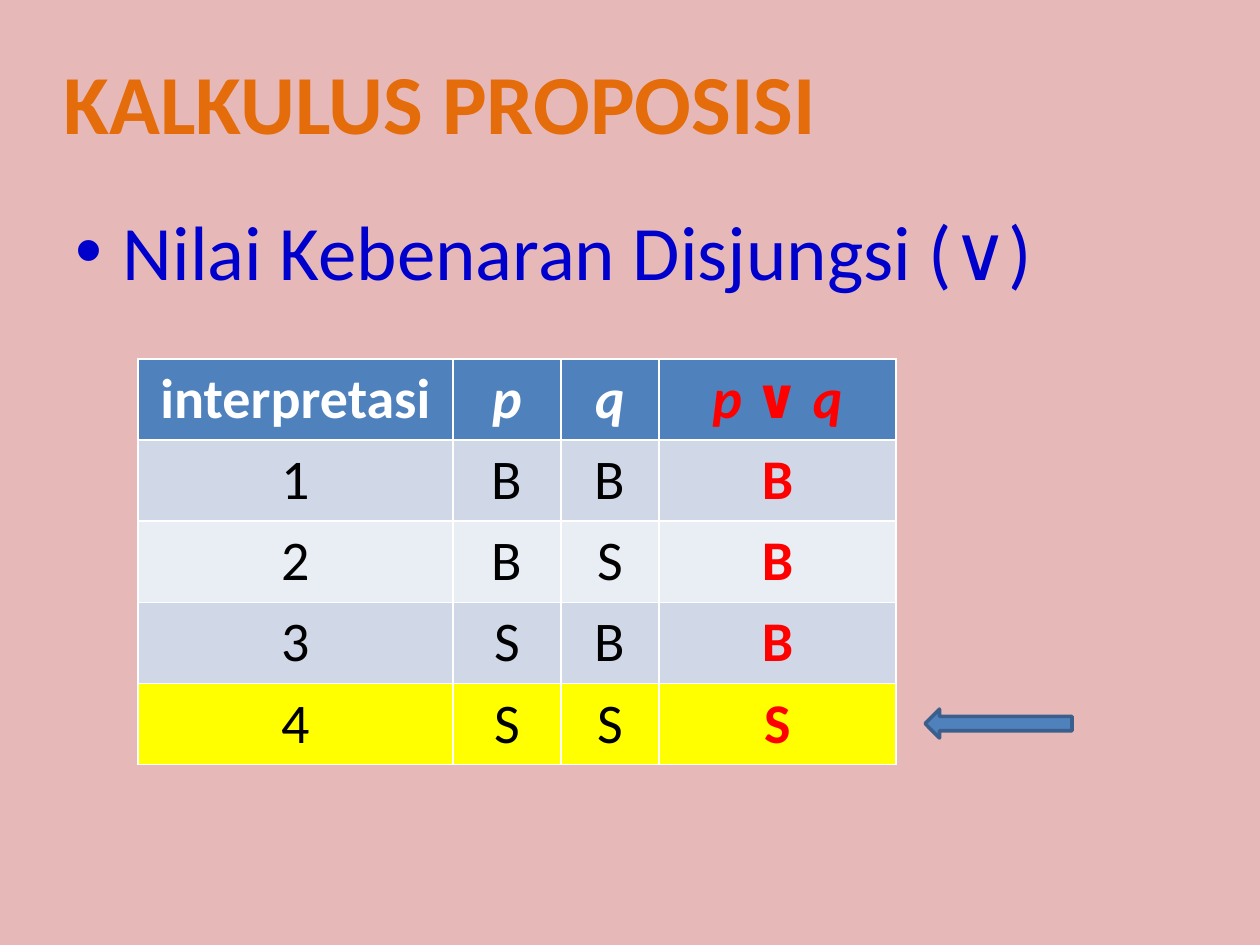
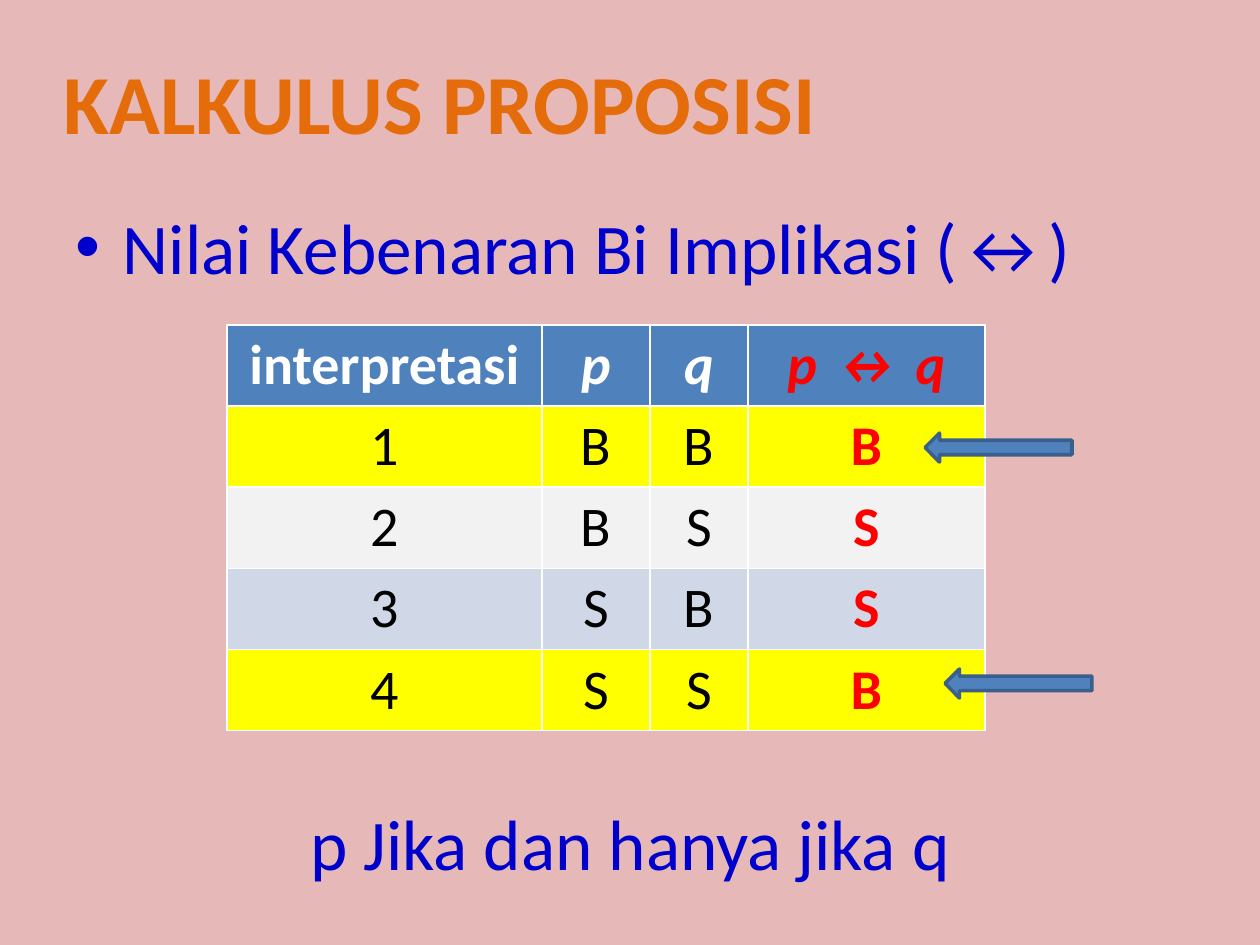
from dataclasses import dataclass

from lxml import etree
from pptx import Presentation
from pptx.dml.color import RGBColor
from pptx.enum import shapes, text
from pptx.oxml import ns
from pptx.util import Emu, Pt

# Content: marked rows are the highlighted interpretations
TITLE = "KALKULUS PROPOSISI"
INPUTS = [("1", "B", "B"), ("2", "B", "S"), ("3", "S", "B"), ("4", "S", "S")]
PAGES = [
    dict(heading="Nilai Kebenaran Disjungsi (∨)", heading_size=44, closing=None,
         formula="p ∨ q", results="BBBS", marked=[4], even_band="E9EDF4",
         table_at=(138, 359), arrows=[(925, 709)]),
    dict(heading="Nilai Kebenaran Bi Implikasi (↔)", heading_size=40.7,
         closing="p Jika dan hanya jika q",
         formula="p ↔ q", results="BSSB", marked=[1, 4], even_band="F2F2F2",
         table_at=(227, 325), arrows=[(925, 433), (945, 669)]),
]


@dataclass(frozen=True)
class Theme:
    font: str = "Calibri"
    background: str = "E6B9B8"
    title: str = "E46C0A"
    body: str = "0000CC"
    header: str = "4F81BD"
    header_text: str = "FFFFFF"
    odd_band: str = "D0D8E8"
    mark: str = "FFFF00"
    cell_text: str = "000000"
    result: str = "FF0000"
    arrow_line: str = "3A5F8C"
    title_size: int = 48
    table_size: int = 32
    closing_gap: int = 292


THEME = Theme()

# Layout in px, 126 to the inch
SLIDE = (1260, 945)
TITLE_BOX = (47, 43, 786, 115)
BODY_BOX = (63, 197, 1134, 699)
COLUMNS = [315, 108, 98, 237]
ROW_HEIGHT = 81
ARROW = (147, 29)


def px(*lengths):
    return [Emu(round(length * 914400 / 126)) for length in lengths]


def color(value):
    return RGBColor.from_string(value)


def paint(part, value):
    part.fill.solid()
    part.fill.fore_color.rgb = color(value)


def style(para, size, value, bold=False, italic=False):
    font = para.font
    font.name, font.size = THEME.font, Pt(size)
    font.bold, font.italic = bold, italic
    font.color.rgb = color(value)


def place(box, bounds):
    box.left, box.top, box.width, box.height = px(*bounds)
    box.text_frame.auto_size = text.MSO_AUTO_SIZE.NONE
    return box.text_frame


def add_title(page):
    frame = place(page.shapes.title, TITLE_BOX)
    frame.word_wrap = False
    frame.text = TITLE
    para = frame.paragraphs[0]
    para.alignment = text.PP_ALIGN.CENTER
    style(para, THEME.title_size, THEME.title, bold=True)


def add_body(page, heading, size, closing):
    frame = place(page.placeholders[1], BODY_BOX)
    frame.text = heading
    para = frame.paragraphs[0]
    para.space_before = Pt(0)
    style(para, size, THEME.body)
    if closing:
        para = frame.add_paragraph()
        para.text = closing
        para.alignment = text.PP_ALIGN.CENTER
        para.space_before = Pt(THEME.closing_gap)
        properties = para._p.get_or_add_pPr()
        properties.set("marL", "0")
        properties.set("indent", "0")
        etree.SubElement(properties, ns.qn("a:buNone"))
        style(para, size, THEME.body)


def add_truth_table(page, content):
    rows = [("interpretasi", "p", "q", content["formula"])]
    rows += [(*values, result) for values, result in zip(INPUTS, content["results"])]
    bounds = (*content["table_at"], sum(COLUMNS), ROW_HEIGHT * len(rows))
    table = page.shapes.add_table(len(rows), len(COLUMNS), *px(*bounds)).table
    for column, width in zip(table.columns, px(*COLUMNS)):
        column.width = width

    for r, row in enumerate(rows):
        is_header = r == 0
        if is_header:
            fill = THEME.header
        elif r in content["marked"]:
            fill = THEME.mark
        else:
            fill = THEME.odd_band if r % 2 else content["even_band"]
        for c, value in enumerate(row):
            is_result = c == len(row) - 1
            cell = table.cell(r, c)
            cell.text = value
            paint(cell, fill)
            para = cell.text_frame.paragraphs[0]
            para.alignment = text.PP_ALIGN.CENTER
            plain = THEME.header_text if is_header else THEME.cell_text
            style(para, THEME.table_size, THEME.result if is_result else plain,
                  bold=is_header or is_result, italic=is_header and c > 0)


def add_arrow(page, position):
    arrow = page.shapes.add_shape(shapes.MSO_SHAPE.LEFT_ARROW, *px(*position, *ARROW))
    arrow.shadow.inherit = False
    paint(arrow, THEME.header)
    arrow.line.color.rgb = color(THEME.arrow_line)
    arrow.line.width = Pt(2)


def main():
    deck = Presentation()
    deck.slide_width, deck.slide_height = px(*SLIDE)
    # The background is shared through the slide master
    paint(deck.slide_master.background, THEME.background)
    for content in PAGES:
        page = deck.slides.add_slide(deck.slide_layouts[1])
        add_title(page)
        add_body(page, content["heading"], content["heading_size"], content["closing"])
        add_truth_table(page, content)
        for position in content["arrows"]:
            add_arrow(page, position)
    deck.save("out.pptx")


if __name__ == "__main__":
    main()
